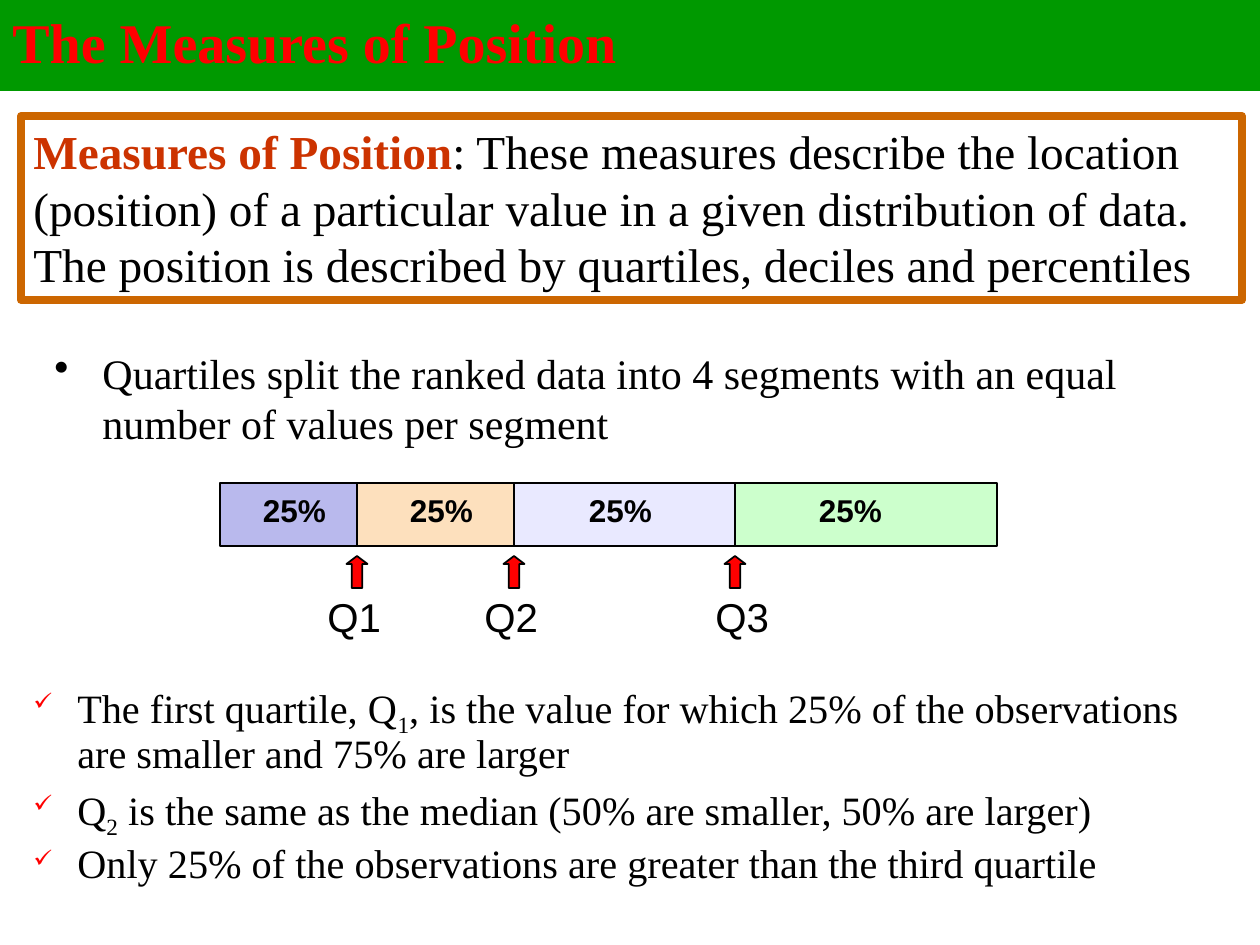
from lxml import etree
from pptx import Presentation
from pptx.dml.color import RGBColor
from pptx.enum.shapes import MSO_SHAPE
from pptx.enum.text import MSO_ANCHOR, PP_ALIGN
from pptx.oxml.ns import qn
from pptx.util import Emu, Pt

RECT, ARROW = MSO_SHAPE.RECTANGLE, MSO_SHAPE.RIGHT_ARROW
TOP, MIDDLE = MSO_ANCHOR.TOP, MSO_ANCHOR.MIDDLE
LEFT, CENTER = PP_ALIGN.LEFT, PP_ALIGN.CENTER
SERIF, SANS = "Times New Roman", "Arial"
BLACK, RED, GREEN = "000000", "FF0000", "009900"
PX_PER_INCH = 126


def px(n):
    return Emu(round(n * 914400 / PX_PER_INCH))


def rgb(color):
    return RGBColor.from_string(color)


def add_bullet(p, char, indent, color=None, percent=None):
    pPr = p._p.get_or_add_pPr()
    pPr.set("marL", str(px(indent)))
    pPr.set("indent", str(-px(indent)))
    if color:
        bu_color = etree.SubElement(pPr, qn("a:buClr"))
        etree.SubElement(bu_color, qn("a:srgbClr"), val=color)
    if percent:
        etree.SubElement(pPr, qn("a:buSzPct"), val=str(percent * 1000))
    etree.SubElement(pPr, qn("a:buChar"), char=char)


class Deck:
    def __init__(self, width, height):
        self.prs = Presentation()
        self.prs.slide_width, self.prs.slide_height = px(width), px(height)
        self.s = self.prs.slides.add_slide(self.prs.slide_layouts[6])

    def shape(self, kind, box, fill=None, line=BLACK, weight=1):
        sp = self.s.shapes.add_shape(kind, *map(px, box))
        sp.shadow.inherit = False
        if fill:
            sp.fill.solid()
            sp.fill.fore_color.rgb = rgb(fill)
        else:
            sp.fill.background()
        sp.line.color.rgb = rgb(line)
        sp.line.width = Pt(weight)
        return sp

    def up_arrow(self, center_x, center_y, length=32, breadth=21):
        box = (center_x - length / 2, center_y - breadth / 2, length, breadth)
        sp = self.shape(ARROW, box, RED)
        sp.adjustments[0], sp.adjustments[1] = 0.5, 0.378
        sp.rotation = 270

    def text_box(self, box):
        return self.s.shapes.add_textbox(*map(px, box))

    def add_text(self, sp, paragraphs, size, font=SERIF, align=LEFT, anchor=TOP,
                 spacing=None, before=0, bullet=None):
        """Fill sp; a run is (text, style), style holding color, bold or sub."""
        tf = sp.text_frame
        tf.word_wrap = True
        tf.vertical_anchor = anchor
        for i, runs in enumerate(paragraphs):
            p = tf.add_paragraph() if i else tf.paragraphs[0]
            if bullet:
                add_bullet(p, *bullet)
            p.alignment = align
            if spacing:
                p.line_spacing = spacing
            if i:
                p.space_before = Pt(before)
            for text, style in runs:
                r = p.add_run()
                r.text = text
                r.font.name, r.font.size = font, Pt(size)
                r.font.bold = style.get("bold", False)
                r.font.color.rgb = rgb(style.get("color", BLACK))
                if style.get("sub"):
                    r.font._element.set("baseline", "-25000")


def main():
    deck = Deck(1260, 945)
    bold, sub = {"bold": True}, {"sub": True}

    definition = deck.shape(RECT, (21, 116, 1221, 184), line="CC6600", weight=4.5)
    deck.add_text(definition, [[
        ("Measures of Position", {"color": "CC3300", "bold": True}),
        (": These measures describe the location (position) of a particular "
         "value in a given distribution of data. The position is described by "
         "quartiles, deciles and percentiles", {}),
    ]], 27)

    title = deck.shape(RECT, (0, 0, 1260, 90), GREEN, GREEN, 0.75)
    deck.add_text(title, [[("The Measures of Position", {"color": RED, "bold": True})]],
                  32, anchor=MIDDLE, spacing=0.9)

    deck.add_text(deck.text_box((42, 341, 1201, 126)), [[
        ("Quartiles split the ranked data into 4 segments with an equal "
         "number of values per segment", {}),
    ]], 24, bullet=("•", 48))

    bar_top, bar_height = 483, 63
    segments = [(220, 159, "B9B9ED"), (357, 157, "FDE0BD"),
                (514, 242, "E9E9FF"), (735, 262, "CCFFCC")]
    for left, width, color in segments:
        deck.shape(RECT, (left, bar_top, width, bar_height), color)
    for left in (231, 378, 557, 787):
        label = deck.text_box((left, bar_top + 2, 127, bar_height))
        deck.add_text(label, [[("25%", bold)]], 18, SANS, CENTER)

    quartiles = [("Q1", 357, 315), ("Q2", 514, 472), ("Q3", 735, 703)]
    for name, boundary, label_left in quartiles:
        deck.up_arrow(boundary, 572)
        label = deck.text_box((label_left, 592, 84, 63))
        deck.add_text(label, [[(name, {})]], 23, SANS, spacing=0.9)

    deck.add_text(deck.text_box((21, 678, 1221, 240)), [
        [("The first quartile, Q", {}), ("1", sub),
         (", is the value for which 25% of the observations are smaller "
          "and 75% are larger", {})],
        [("Q", {}), ("2", sub),
         (" is the same as the median (50% are smaller, 50% are larger)", {})],
        [("Only 25% of the observations are greater than the third quartile", {})],
    ], 23, spacing=0.9, before=5, bullet=("✓", 44, RED, 60))

    deck.prs.save("out.pptx")


if __name__ == "__main__":
    main()
